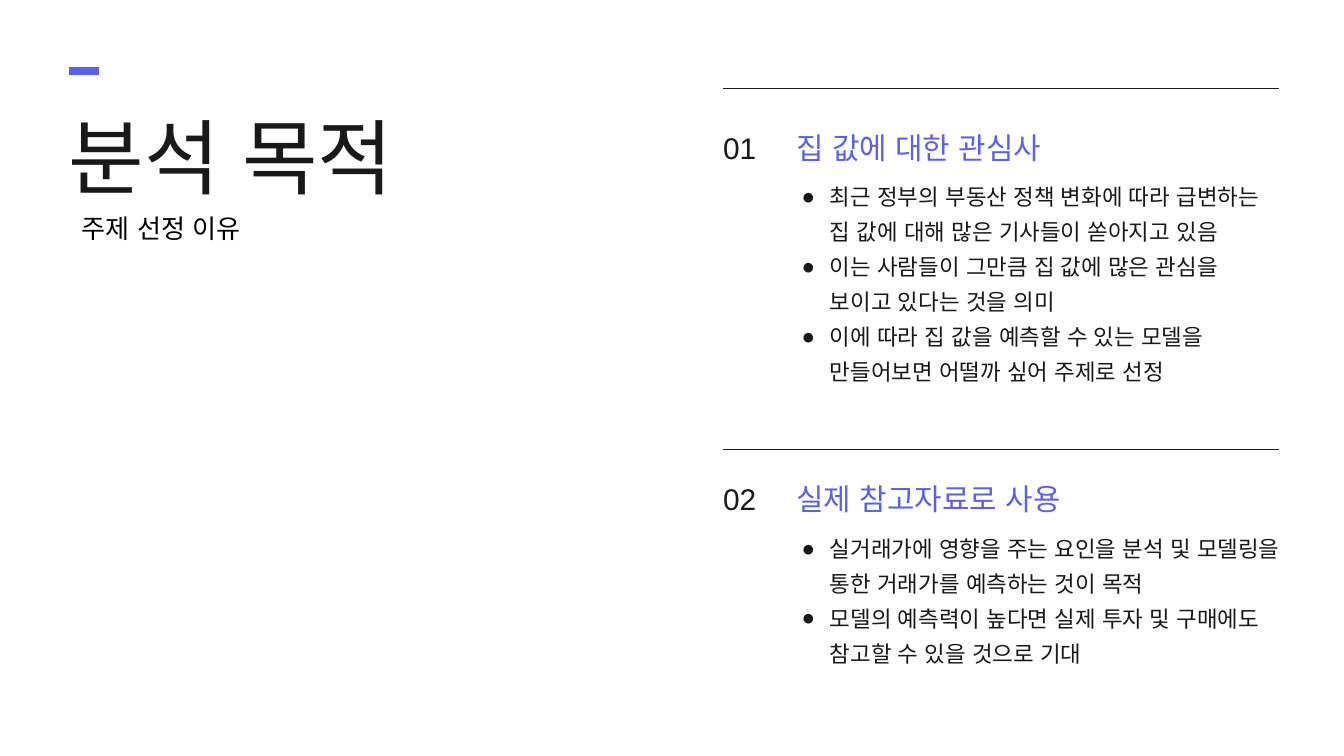
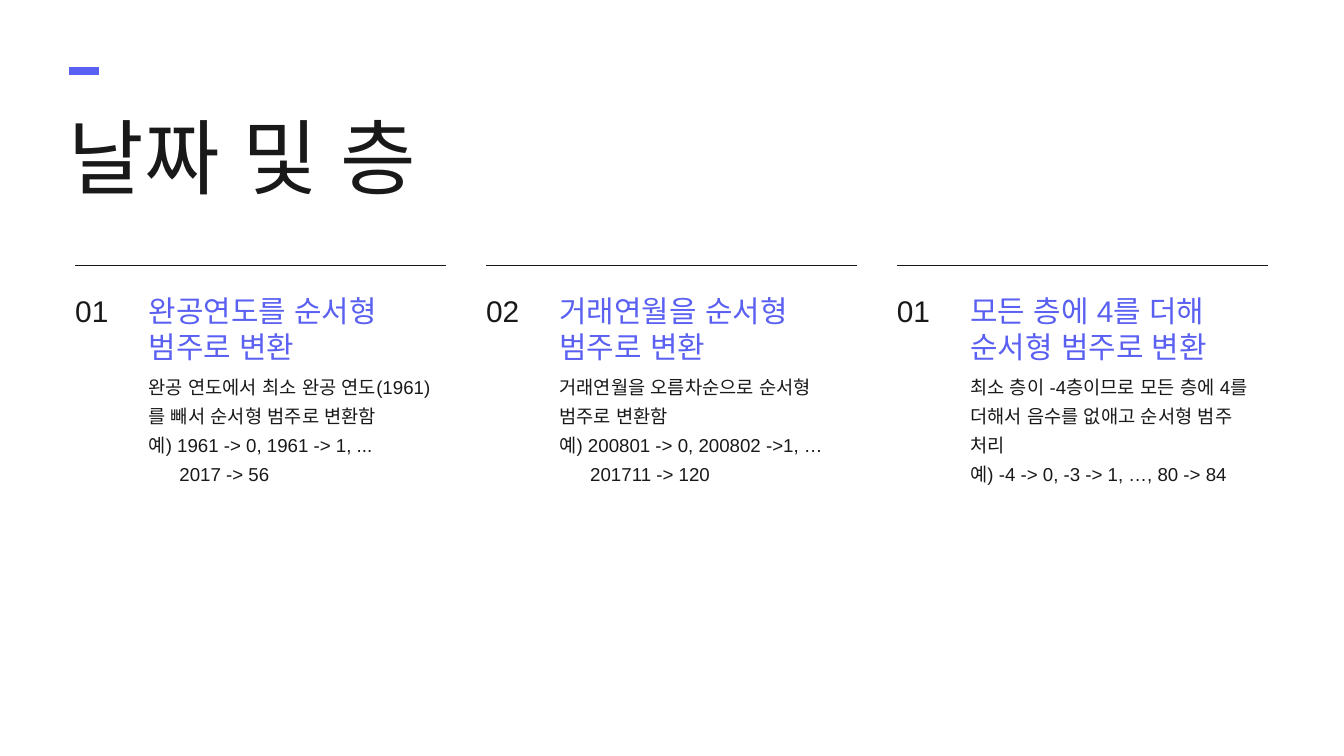
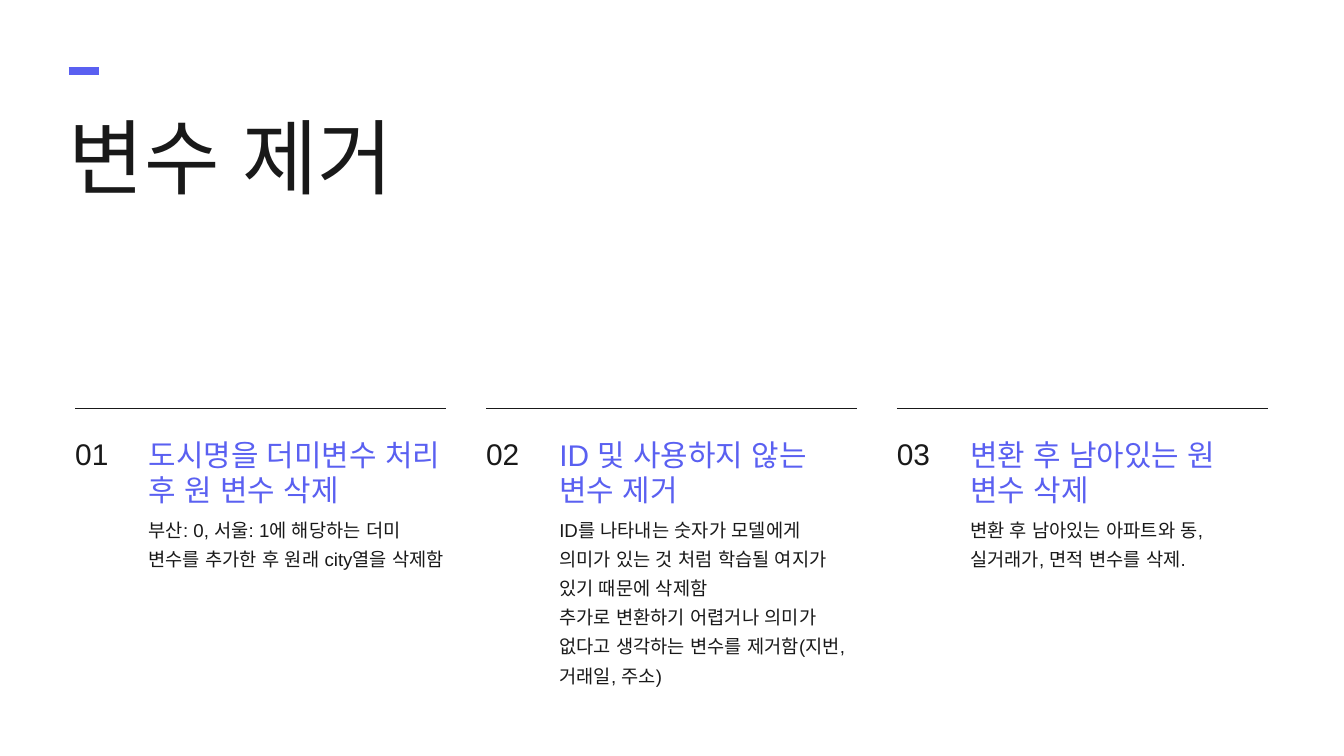
from dataclasses import dataclass

from lxml import etree
from pptx import Presentation
from pptx.dml.color import RGBColor
from pptx.enum.lang import MSO_LANGUAGE_ID
from pptx.enum.shapes import MSO_CONNECTOR
from pptx.oxml.ns import qn
from pptx.util import Inches, Pt

STRAIGHT = MSO_CONNECTOR.STRAIGHT
KOREAN = MSO_LANGUAGE_ID.KOREAN


@dataclass(frozen=True)
class Theme:
    font: str = "Arial"
    ink: str = "191919"
    accent: str = "5A60F1"
    black: str = "000000"
    title: int = 88
    heading: int = 32
    subtitle: int = 28
    bullet: int = 24
    body: int = 20
    spacing: float = 1.3
    row: float = 1.52
    rule: int = 1
    dash: int = 8


@dataclass(frozen=True)
class Grid:
    width: float = 20
    height: float = 11.25
    margin: float = 1.02
    title_w: float = 6.75
    left: float = 1.12
    right: float = 18.87
    gutter: float = 0.59
    number_w: float = 0.83
    text_offset: float = 1.09
    heading_h: float = 0.54

    def column(self, index, count=3):
        width = (self.right - self.left - self.gutter * (count - 1)) / count
        return self.left + index * (width + self.gutter), width


@dataclass(frozen=True)
class Item:
    number: str
    heading: str
    body: tuple
    rows: int
    continuation: str = ""


THEME = Theme()
GRID = Grid()


def add_slide(prs):
    return prs.slides.add_slide(prs.slide_layouts[6])


def add_text(s, left, top, width, height, lines, size, color, inset=0, spacing=None):
    tb = s.shapes.add_textbox(Inches(left), Inches(top), Inches(width), Inches(height))
    tf = tb.text_frame
    tf.word_wrap = True
    tf.margin_left = tf.margin_right = tf.margin_top = tf.margin_bottom = Inches(inset)
    for i, line in enumerate(lines):
        p = tf.paragraphs[0] if i == 0 else tf.add_paragraph()
        if spacing:
            p.line_spacing = spacing
        r = p.add_run()
        r.text = line
        f = r.font
        f.size = Pt(size)
        f.color.rgb = RGBColor.from_string(color)
        f.name = THEME.font
        f.language_id = KOREAN
        for tag in ("a:ea", "a:cs"):
            etree.SubElement(r._r.rPr, qn(tag), typeface=THEME.font)
    return tf


def add_rule(s, left, top, width, color, weight):
    x, y = Inches(left), Inches(top)
    line = s.shapes.add_connector(STRAIGHT, x, y, Inches(left + width), y)
    line.line.color.rgb = RGBColor.from_string(color)
    line.line.width = Pt(weight)
    etree.SubElement(line._element.spPr, qn("a:effectLst"))


def set_indent(p, left, first=0):
    pPr = p._p.get_or_add_pPr()
    pPr.set("marL", str(Inches(left)))
    pPr.set("indent", str(Inches(first)))
    return pPr


def add_bullet(p):
    pPr = set_indent(p, 0.5, -0.42)
    color = etree.SubElement(pPr, qn("a:buClr"))
    etree.SubElement(color, qn("a:srgbClr"), val=THEME.ink)
    etree.SubElement(pPr, qn("a:buFont"), typeface=THEME.font)
    etree.SubElement(pPr, qn("a:buChar"), char="●")


def add_title(s, text):
    add_rule(s, GRID.margin, 1.06, 0.46, THEME.accent, THEME.dash)
    add_text(s, GRID.margin, 1.58, GRID.title_w, 1.48, [text], THEME.title, THEME.ink)


def add_item(s, item, left, width, rule_y, heading_gap, heading_rows, body_gap, size, bullets=False):
    heading_y = rule_y + heading_gap
    text_x = left + GRID.text_offset
    text_w = width - GRID.text_offset
    add_rule(s, left, rule_y, width, THEME.ink, THEME.rule)
    add_text(s, left, heading_y, GRID.number_w, GRID.heading_h,
             [item.number], THEME.heading, THEME.ink)
    add_text(s, text_x, heading_y, min(text_w, GRID.title_w), GRID.heading_h * heading_rows,
             [item.heading], THEME.heading, THEME.accent)
    lines = item.body + ((item.continuation,) if item.continuation else ())
    tf = add_text(s, text_x, heading_y + body_gap, text_w, item.rows * size * THEME.row / 72,
                  lines, size, THEME.ink, spacing=THEME.spacing)
    if bullets:
        for p in tf.paragraphs:
            add_bullet(p)
    if item.continuation:
        set_indent(tf.paragraphs[-1], 0.46)


def add_columns(s, items, rule_y):
    for i, item in enumerate(items):
        left, width = GRID.column(i, len(items))
        add_item(s, item, left, width, rule_y, 0.41, 2, 1.13, THEME.body)


def purpose_slide(prs):
    s = add_slide(prs)
    add_title(s, "분석 목적")
    add_text(s, GRID.left, 3.06, 5.81, 0.67, ["주제 선정 이유"],
             THEME.subtitle, THEME.black, inset=0.1)
    interest = Item("01", "집 값에 대한 관심사", (
        "최근 정부의 부동산 정책 변화에 따라 급변하는 집 값에 대해 많은 기사들이 쏟아지고 있음",
        "이는 사람들이 그만큼 집 값에 많은 관심을 보이고 있다는 것을 의미",
        "이에 따라 집 값을 예측할 수 있는 모델을 만들어보면 어떨까 싶어 주제로 선정",
    ), 8)
    usage = Item("02", "실제 참고자료로 사용", (
        "실거래가에 영향을 주는 요인을 분석 및 모델링을 통한 거래가를 예측하는 것이 목적",
        "모델의 예측력이 높다면 실제 투자 및 구매에도 참고할 수 있을 것으로 기대",
    ), 4)
    for item, rule_y, gap in ((interest, 1.31, 0.62), (usage, 6.69, 0.47)):
        add_item(s, item, 10.76, 8.28, rule_y, gap, 1, 0.68, THEME.bullet, bullets=True)


def date_floor_slide(prs):
    s = add_slide(prs)
    add_title(s, "날짜 및 층")
    add_columns(s, [
        Item("01", "완공연도를 순서형 범주로 변환", (
            "완공 연도에서 최소 완공 연도(1961)를 빼서 순서형 범주로 변환함",
            "예) 1961 -> 0, 1961 -> 1, ...",
        ), 6, "2017 -> 56"),
        Item("02", "거래연월을 순서형 범주로 변환", (
            "거래연월을 오름차순으로 순서형 범주로 변환함",
            "예) 200801 -> 0, 200802 ->1, …",
        ), 6, "201711 -> 120"),
        Item("01", "모든 층에 4를 더해 순서형 범주로 변환", (
            "최소 층이 -4층이므로 모든 층에 4를 더해서 음수를 없애고 순서형 범주 처리",
            "예) -4 -> 0, -3 -> 1, …, 80 -> 84",
        ), 4),
    ], 3.95)


def removal_slide(prs):
    s = add_slide(prs)
    add_title(s, "변수 제거")
    add_columns(s, [
        Item("01", "도시명을 더미변수 처리 후 원 변수 삭제", (
            "부산: 0, 서울: 1에 해당하는 더미 변수를 추가한 후 원래 city열을 삭제함",
        ), 3),
        Item("02", "ID 및 사용하지 않는 변수 제거", (
            "ID를 나타내는 숫자가 모델에게 의미가 있는 것 처럼 학습될 여지가 있기 때문에 삭제함",
            "추가로 변환하기 어렵거나 의미가 없다고 생각하는 변수를 제거함(지번, 거래일, 주소)",
        ), 7),
        Item("03", "변환 후 남아있는 원 변수 삭제", (
            "변환 후 남아있는 아파트와 동, 실거래가, 면적 변수를 삭제.",
        ), 2),
    ], 6.08)


def main():
    prs = Presentation()
    prs.slide_width = Inches(GRID.width)
    prs.slide_height = Inches(GRID.height)
    purpose_slide(prs)
    date_floor_slide(prs)
    removal_slide(prs)
    prs.save("out.pptx")


if __name__ == "__main__":
    main()
